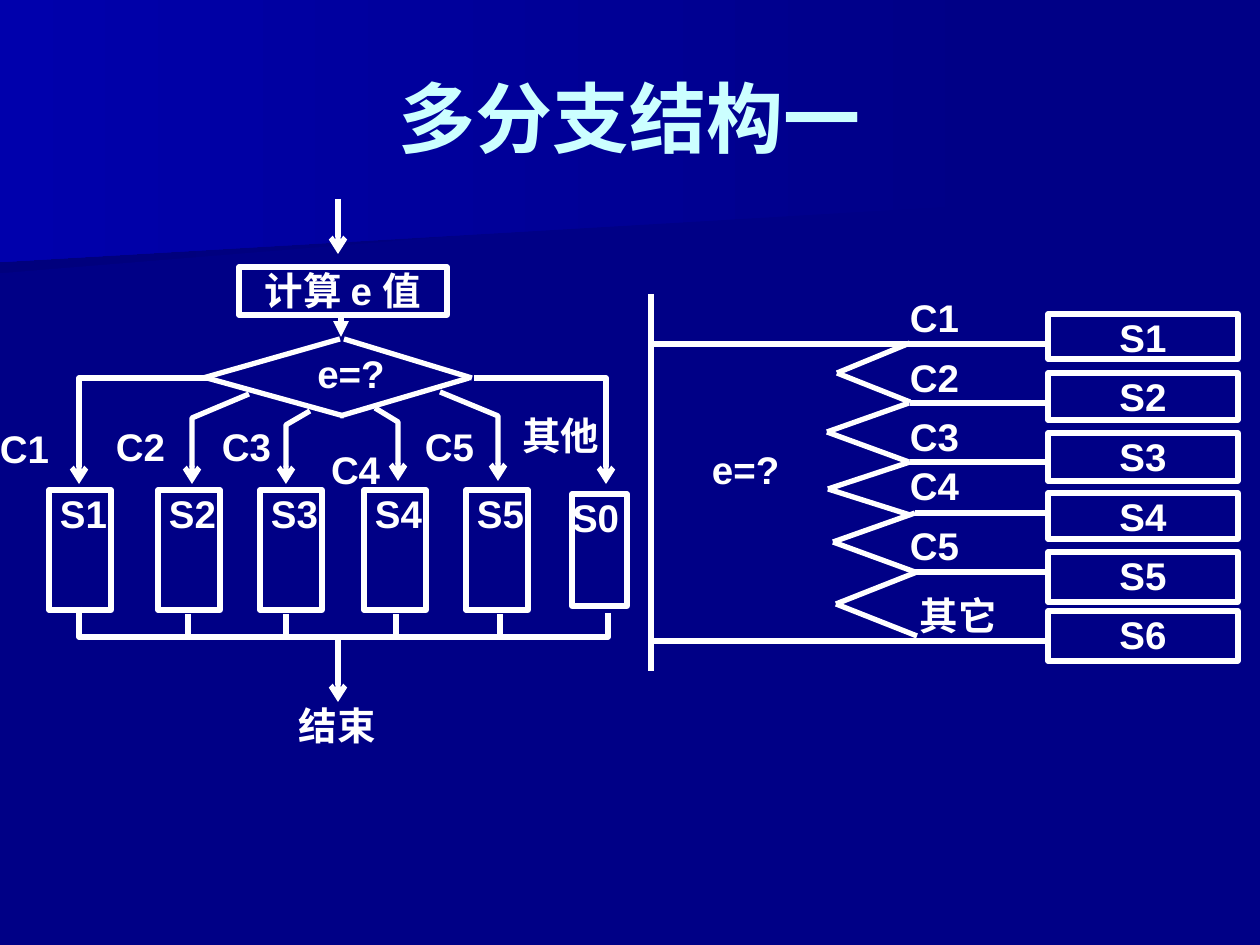
from typing import NamedTuple

from lxml.etree import SubElement
from pptx import Presentation
from pptx.dml.color import RGBColor
from pptx.enum.shapes import MSO_CONNECTOR, MSO_SHAPE
from pptx.enum.text import MSO_ANCHOR, PP_ALIGN
from pptx.oxml.ns import qn
from pptx.util import Pt

PX = 914400 / 126
NAVY = RGBColor(0x00, 0x00, 0x86)
DARK_NAVY = RGBColor(0x00, 0x00, 0x7D)
BRIGHT_NAVY = RGBColor(0x00, 0x00, 0xAC)
PALE_CYAN = RGBColor(0xCC, 0xFF, 0xFF)
WHITE = RGBColor(0xFF, 0xFF, 0xFF)


class Point(NamedTuple):
    x: int
    y: int


class Box(NamedTuple):
    left: int
    top: int
    width: int
    height: int


class Label(NamedTuple):
    text: str
    box: Box
    align: PP_ALIGN = PP_ALIGN.JUSTIFY
    line_spacing: float = 1.0


class Branch(NamedTuple):
    action: str
    box: Box
    indent: int
    route: tuple


class Case(NamedTuple):
    action: str
    top: int
    height: int
    line_start: Point


class Notch(NamedTuple):
    right: int
    top: int
    tip: Point
    bottom: int


LABELS = [
    Label("e=?", Box(290, 350, 122, 42), PP_ALIGN.CENTER),
    Label("C1", Box(0, 443, 62, 30), line_spacing=0.56),
    Label("C2", Box(116, 423, 62, 37)),
    Label("C3", Box(222, 423, 62, 32)),
    Label("C4", Box(331, 464, 55, 24), line_spacing=0.56),
    Label("C5", Box(425, 423, 60, 43)),
    Label("其他", Box(522, 412, 108, 42)),
    Label("结束", Box(299, 702, 96, 44)),
    Label("e=?", Box(712, 446, 95, 49)),
    Label("C1", Box(910, 294, 77, 39)),
    Label("C2", Box(910, 354, 60, 33)),
    Label("C3", Box(910, 413, 52, 30)),
    Label("C4", Box(910, 462, 62, 40)),
    Label("C5", Box(910, 522, 62, 40)),
    Label("其它", Box(920, 592, 92, 40)),
]

BRANCHES = [
    Branch("S1", Box(49, 490, 62, 120), 11, (Point(212, 378), Point(79, 378), Point(79, 484))),
    Branch("S2", Box(158, 490, 62, 120), 11, (Point(249, 394), Point(192, 418), Point(192, 484))),
    Branch("S3", Box(260, 490, 62, 120), 11, (Point(310, 411), Point(286, 425), Point(286, 484))),
    Branch("S4", Box(364, 490, 62, 120), 11, (Point(375, 408), Point(398, 422), Point(398, 481))),
    Branch("S5", Box(466, 490, 62, 120), 11, (Point(440, 392), Point(498, 416), Point(498, 481))),
    Branch("S0", Box(572, 494, 55, 112), 0, (Point(474, 378), Point(606, 378), Point(606, 484))),
]

CASES = [
    Case("S1", 314, 45, Point(651, 344)),
    Case("S2", 373, 47, Point(910, 403)),
    Case("S3", 433, 48, Point(910, 462)),
    Case("S4", 493, 46, Point(915, 513)),
    Case("S5", 552, 50, Point(910, 572)),
    Case("S6", 611, 50, Point(651, 641)),
]

NOTCHES = [
    Notch(910, 343, Point(837, 373), 402),
    Notch(909, 403, Point(827, 432), 462),
    Notch(910, 462, Point(828, 489), 515),
    Notch(915, 513, Point(833, 542), 572),
    Notch(917, 572, Point(836, 604), 636),
]

DIAMOND = [
    (Point(340, 339), Point(203, 378)),
    (Point(344, 416), Point(207, 378)),
    (Point(344, 339), Point(472, 378)),
    (Point(340, 416), Point(469, 378)),
]


def emu(*lengths: int) -> list:
    return [round(length * PX) for length in lengths]


def write_text(shape, text: str, *, size=22, font="Arial", color=WHITE, align=PP_ALIGN.JUSTIFY,
               anchor=MSO_ANCHOR.TOP, indent=0, line_spacing=1.0) -> None:
    frame = shape.text_frame
    frame.word_wrap = True
    frame.vertical_anchor = anchor
    frame.margin_left = emu(indent)[0]
    frame.margin_right = frame.margin_top = frame.margin_bottom = 0
    paragraph = frame.paragraphs[0]
    paragraph.text = text
    paragraph.alignment = align
    paragraph.line_spacing = line_spacing
    run_font = paragraph.runs[0].font
    run_font.name, run_font.size, run_font.bold = font, Pt(size), True
    run_font.color.rgb = color


def style_line(shape, head: str) -> None:
    shape.line.color.rgb = WHITE
    shape.line.width = Pt(3)
    if head:
        SubElement(shape.element.spPr.find(qn("a:ln")), qn("a:tailEnd"), type=head)


def add_line(slide, start: Point, end: Point, head: str = "") -> None:
    connector = slide.shapes.add_connector(MSO_CONNECTOR.STRAIGHT, *emu(*start, *end))
    style_line(connector, head)
    SubElement(connector.element.spPr, qn("a:effectLst"))


def add_outline(slide, points, closed: bool = False):
    builder = slide.shapes.build_freeform(*points[0], scale=PX)
    builder.add_line_segments(points[1:], close=closed)
    shape = builder.convert_to_shape()
    shape.shadow.inherit = False
    return shape


def add_route(slide, points, head: str = "") -> None:
    shape = add_outline(slide, points)
    shape.fill.background()
    style_line(shape, head)


def add_band(slide, points, color: RGBColor) -> None:
    shape = add_outline(slide, points, closed=True)
    shape.line.fill.background()
    shape.fill.gradient()
    shape.fill.gradient_angle = 180
    for stop, stop_color in zip(shape.fill.gradient_stops, (NAVY, color)):
        stop.color.rgb = stop_color


def add_box(slide, text: str, box: Box, **text_format) -> None:
    shape = slide.shapes.add_shape(MSO_SHAPE.RECTANGLE, *emu(*box))
    shape.shadow.inherit = False
    shape.fill.background()
    style_line(shape, "")
    write_text(shape, text, **text_format)


def add_title(slide, text: str) -> None:
    title = slide.shapes.title
    title.left, title.top, title.width, title.height = emu(63, 38, 1134, 158)
    write_text(title, text, size=44, font="Karla", color=PALE_CYAN,
               align=PP_ALIGN.CENTER, anchor=MSO_ANCHOR.MIDDLE)
    title.element.getparent().append(title.element)


def draw_flowchart(slide) -> None:
    add_box(slide, "计算 e 值", Box(239, 267, 208, 48), align=PP_ALIGN.CENTER)
    add_line(slide, Point(338, 199), Point(338, 254), "arrow")
    add_line(slide, Point(341, 315), Point(341, 337), "triangle")
    for start, end in DIAMOND:
        add_line(slide, start, end)
    for branch in BRANCHES:
        add_box(slide, branch.action, branch.box, indent=branch.indent)
        add_route(slide, branch.route, "arrow")
    add_route(slide, (Point(79, 607), Point(79, 637), Point(608, 637), Point(608, 613)))
    for x in (188, 286, 396, 500):
        add_line(slide, Point(x, 614), Point(x, 634))
    add_line(slide, Point(338, 637), Point(338, 702), "arrow")


def draw_case_diagram(slide) -> None:
    add_line(slide, Point(651, 294), Point(651, 671))
    for case in CASES:
        add_box(slide, case.action, Box(1048, case.top, 190, case.height), align=PP_ALIGN.CENTER)
        add_line(slide, Point(1048, case.line_start.y), case.line_start)
    for notch in NOTCHES:
        for y in (notch.top, notch.bottom):
            add_line(slide, Point(notch.right, y), notch.tip)


def main() -> None:
    presentation = Presentation()
    presentation.slide_width, presentation.slide_height = emu(1260, 945)
    slide = presentation.slides.add_slide(presentation.slide_layouts[5])
    slide.background.fill.solid()
    slide.background.fill.fore_color.rgb = NAVY
    add_band(slide, (Point(980, 193), Point(0, 273), Point(0, 127), Point(982, 127)), DARK_NAVY)
    add_band(slide, (Point(998, 204), Point(0, 262), Point(0, 0), Point(998, 0)), BRIGHT_NAVY)
    add_title(slide, "多分支结构一")
    draw_flowchart(slide)
    draw_case_diagram(slide)
    for label in LABELS:
        text_box = slide.shapes.add_textbox(*emu(*label.box))
        write_text(text_box, label.text, align=label.align, line_spacing=label.line_spacing)
    presentation.save("out.pptx")


if __name__ == "__main__":
    main()
